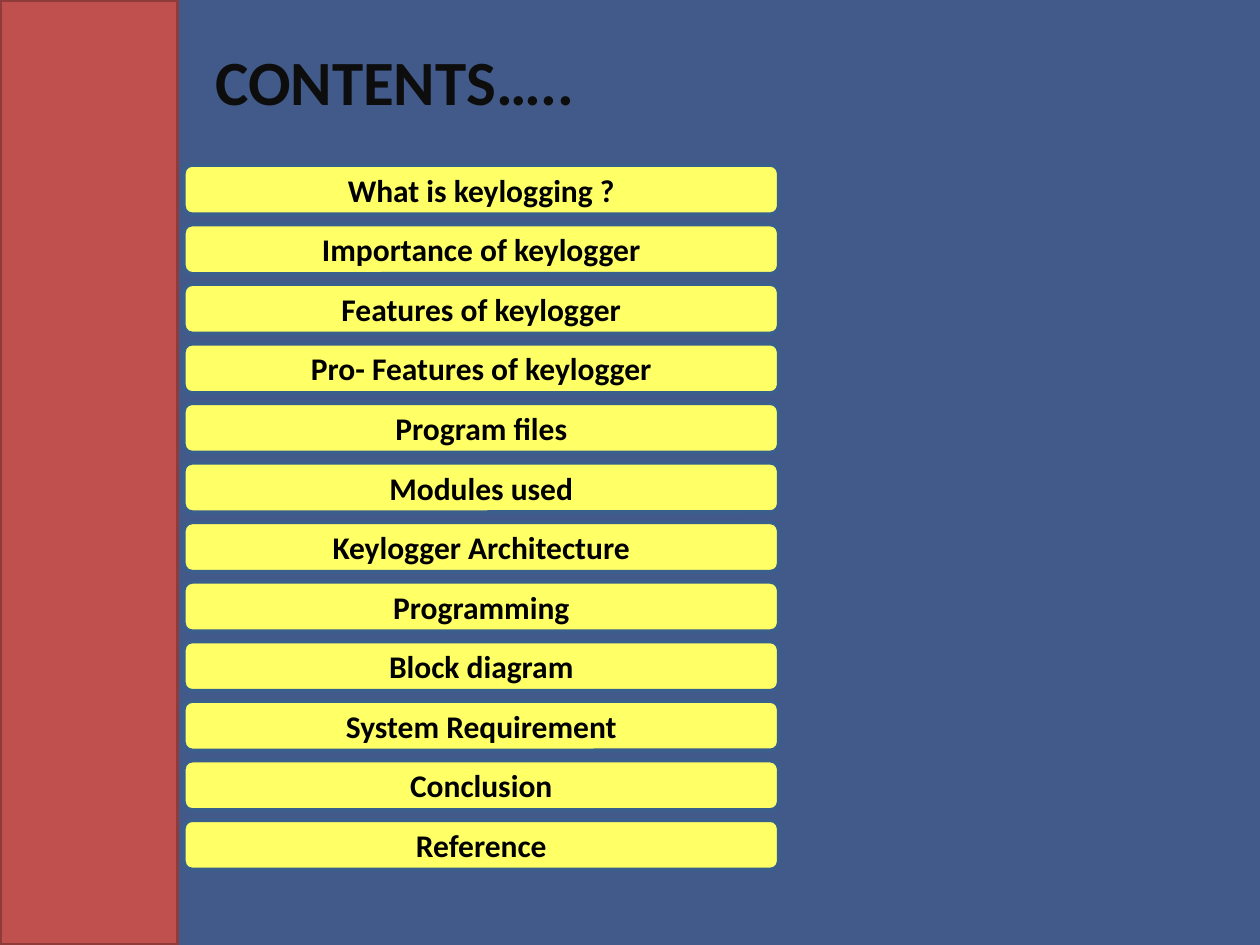
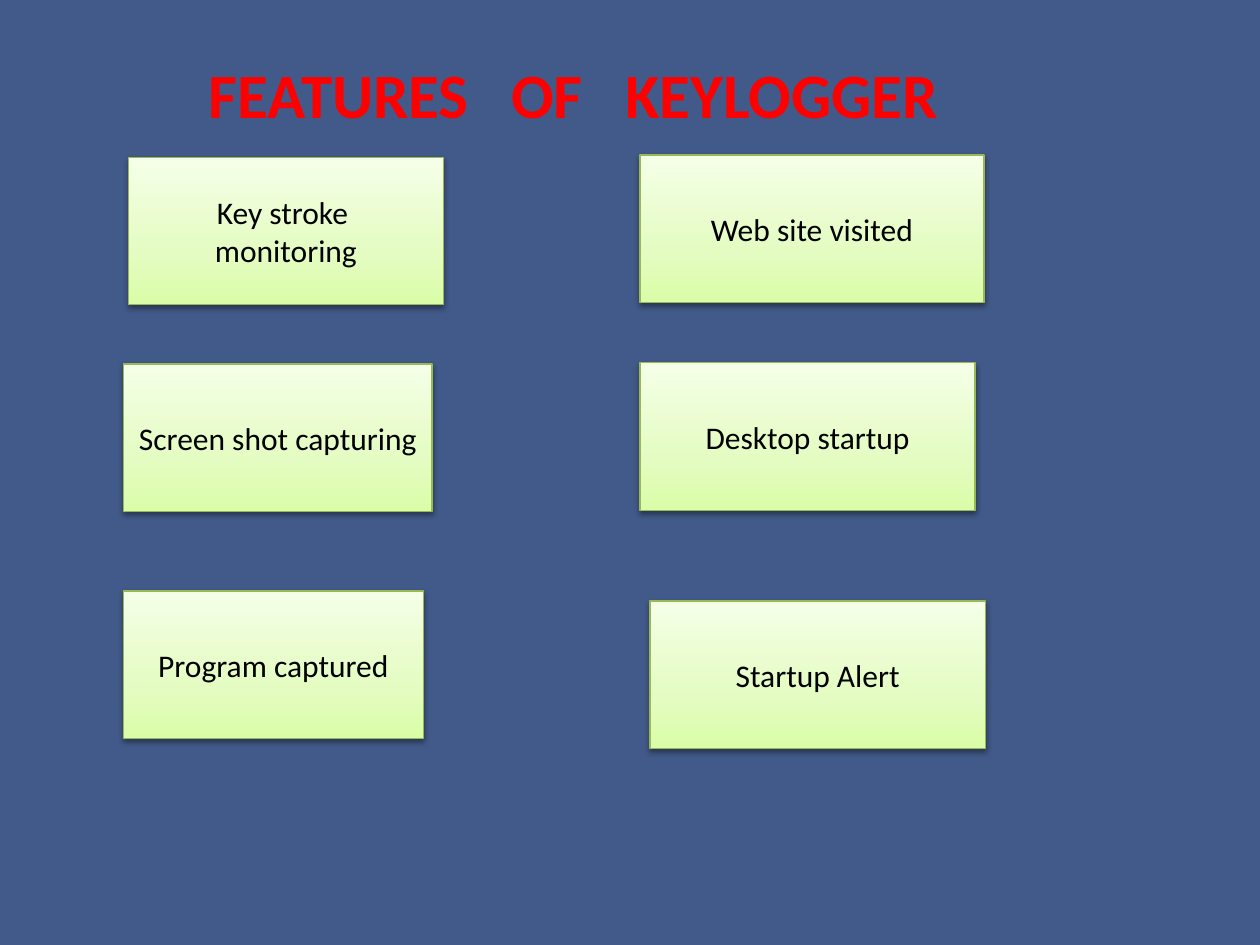
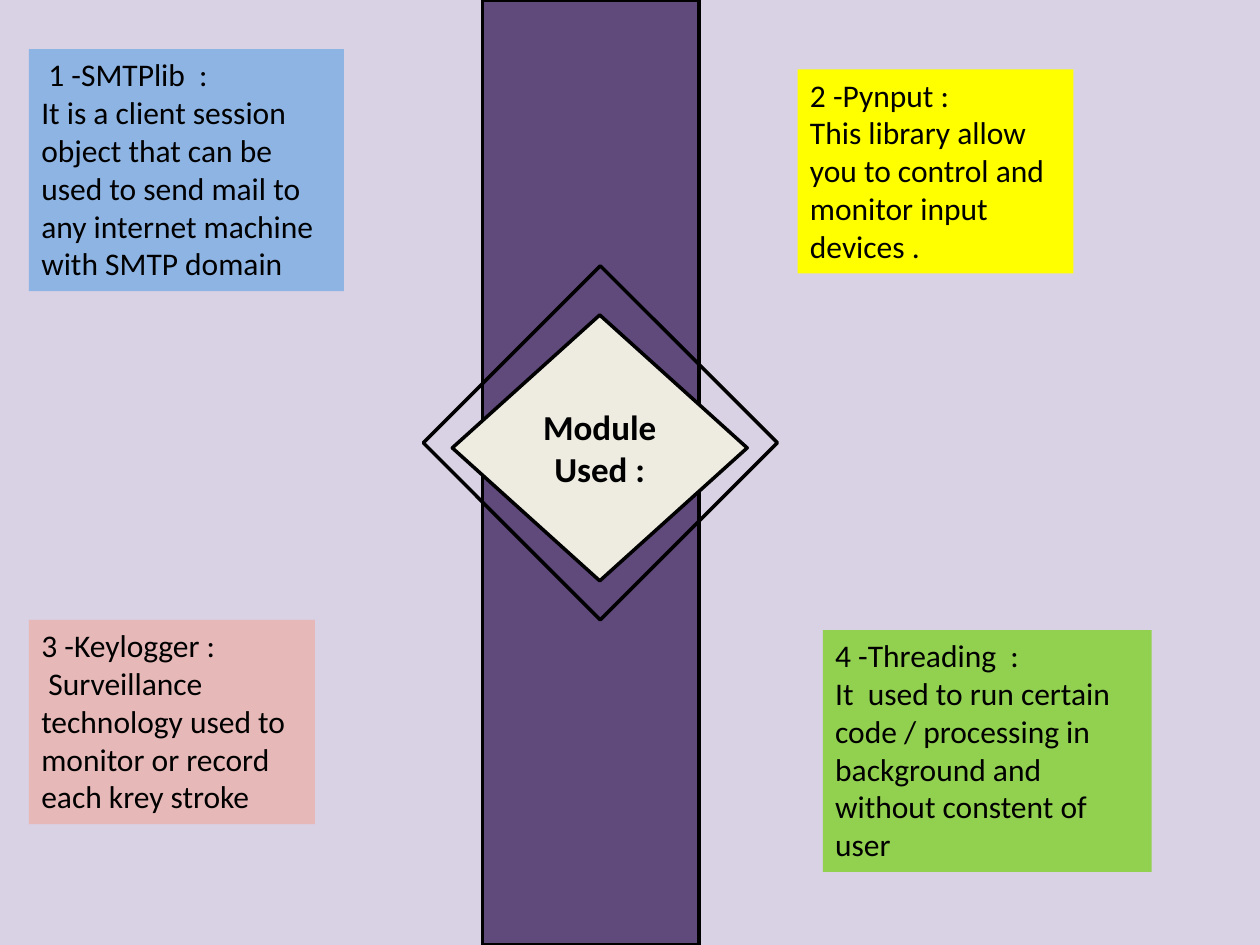
"""Build three slides on the contents, features and modules of a keylogger."""
from copy import deepcopy

from lxml import etree
from pptx import Presentation
from pptx.dml.color import RGBColor
from pptx.enum.shapes import MSO_SHAPE
from pptx.enum.text import MSO_ANCHOR, PP_ALIGN
from pptx.oxml.ns import qn
from pptx.util import Inches, Pt

RECT = MSO_SHAPE.RECTANGLE
ROUND = MSO_SHAPE.ROUNDED_RECTANGLE
DIAMOND = MSO_SHAPE.DIAMOND
LEFT, CENTER = PP_ALIGN.LEFT, PP_ALIGN.CENTER
TOP, MIDDLE = MSO_ANCHOR.TOP, MSO_ANCHOR.MIDDLE


class Theme:
    navy, lilac = "425A89", "D9D1E4"
    black, ink, red = "000000", "0D0D0D", "FF0000"
    brick, rust = "C0504D", "8E3B39"
    lemon, steel = "FFFF66", "3A5F8C"
    leaf = "98B955"
    fade = [(0, "DAFDA7"), (0.35, "E4FCC2"), (1, "F5FFE7")]
    plum, cream = "604A7B", "EEECE1"
    sky, yellow, pink, green = "8EB4E3", "FFFF00", "E6B9B8", "92D050"
    title = {"name": "Calibri", "size": Pt(36), "bold": True}
    label = {"name": "Calibri", "size": Pt(18), "bold": True}
    body = {"name": "Calibri", "size": Pt(18), "bold": False}
    hub = {"name": "Calibri", "size": Pt(20), "bold": True}
    shade = {"blurRad": "40000", "dist": "20000", "dir": "5400000", "rotWithShape": "0"}


def write(shape, text, style, color=Theme.black, align=CENTER, anchor=MIDDLE):
    frame = shape.text_frame
    frame.text = text
    frame.word_wrap = True
    frame.vertical_anchor = anchor
    for para in frame.paragraphs:
        para.alignment = align
        for run in para.runs:
            for key, value in style.items():
                setattr(run.font, key, value)
            run.font.color.rgb = RGBColor.from_string(color)


def block(slide, kind, place, fill=None, line=None, width=2):
    shape = slide.shapes.add_shape(kind, *map(Inches, place))
    shape.shadow.inherit = False
    for part, color in ((shape.fill, fill), (shape.line.fill, line)):
        if color:
            part.solid()
            part.fore_color.rgb = RGBColor.from_string(color)
        else:
            part.background()
    if line:
        shape.line.width = Pt(width)
    return shape


deck = Presentation()
deck.slide_width, deck.slide_height = Inches(10), Inches(7.5)
slides = []
for color in (Theme.navy, Theme.navy, Theme.lilac):
    slide = deck.slides.add_slide(deck.slide_layouts[6])
    slide.background.fill.solid()
    slide.background.fill.fore_color.rgb = RGBColor.from_string(color)
    slides.append(slide)
index, traits, modules = slides

block(index, RECT, (0, 0, 1.41, 7.5), Theme.brick, Theme.rust)

titles = [
    (index, "CONTENTS…..", (1.61, 0.29, 3.78, 0.71), Theme.ink),
    (traits, "FEATURES   OF   KEYLOGGER", (1.56, 0.39, 6.59, 0.71), Theme.red),
]
for slide, text, place, color in titles:
    title = slide.shapes.add_textbox(*map(Inches, place))
    write(title, text, Theme.title, color, LEFT, TOP)

topics = [
    "What is keylogging ?",
    "Importance of keylogger",
    "Features of keylogger",
    "Pro- Features of keylogger",
    "Program files",
    "Modules used",
    "Keylogger Architecture",
    "Programming",
    "Block diagram",
    "System Requirement",
    "Conclusion",
    "Reference",
]
first, last = 1.31, 6.51
step = (last - first) / (len(topics) - 1)
for row, topic in enumerate(topics):
    place = (1.46, first + row * step, 4.72, 0.39)
    write(block(index, ROUND, place, Theme.lemon, Theme.steel), topic, Theme.label)

cards = [
    ("Key stroke \nmonitoring", 1.02, 1.25, 2.5),
    ("Program captured", 0.98, 4.69, 2.38),
    ("Screen shot capturing", 0.98, 2.89, 2.45),
    ("Startup Alert", 5.16, 4.77, 2.66),
    ("Desktop startup", 5.08, 2.88, 2.66),
    ("Web site visited", 5.08, 1.23, 2.73),
]
for text, left, top, width in cards:
    card = block(traits, RECT, (left, top, width, 1.17), None, Theme.leaf, 0.75)
    write(card, text, Theme.body)
    card.fill.gradient()
    card.fill.gradient_angle = 90
    props = card._element.spPr
    stops = props.find(qn("a:gradFill")).find(qn("a:gsLst"))
    stops.append(deepcopy(stops[0]))
    for stop, (spot, color) in zip(card.fill.gradient_stops, Theme.fade):
        stop.position = spot
        stop.color.rgb = RGBColor.from_string(color)
    effects = props.find(qn("a:effectLst"))
    shade = etree.SubElement(effects, qn("a:outerShdw"), Theme.shade)
    tint = etree.SubElement(shade, qn("a:srgbClr"), val=Theme.black)
    etree.SubElement(tint, qn("a:alpha"), val="38000")

block(modules, RECT, (3.83, 0, 1.72, 7.5), Theme.plum, Theme.black)
hub = block(modules, DIAMOND, (3.59, 2.5, 2.34, 2.11), Theme.cream, Theme.black)
write(hub, "Module\nUsed :", Theme.hub)
block(modules, DIAMOND, (3.36, 2.11, 2.81, 2.81), None, Theme.black)

notes = [
    (" 1 -SMTPlib  :", "It is a client session object that can be used to send mail "
     "to any internet machine with SMTP domain", (0.23, 0.39, 2.5, 1.92), Theme.sky),
    ("2 -Pynput :", "This library allow you to control and monitor input devices .",
     (6.33, 0.55, 2.19, 1.62), Theme.yellow),
    ("3 -Keylogger :", " Surveillance technology used to monitor or record each krey stroke",
     (0.23, 4.92, 2.27, 1.62), Theme.pink),
    ("4 -Threading  :", "It  used to run certain code / processing in background "
     "and without constent of user", (6.53, 5, 2.61, 1.92), Theme.green),
]
for head, text, place, color in notes:
    note = block(modules, RECT, place, color)
    write(note, f"{head}\n{text}", Theme.body, align=LEFT, anchor=TOP)

deck.save("out.pptx")
